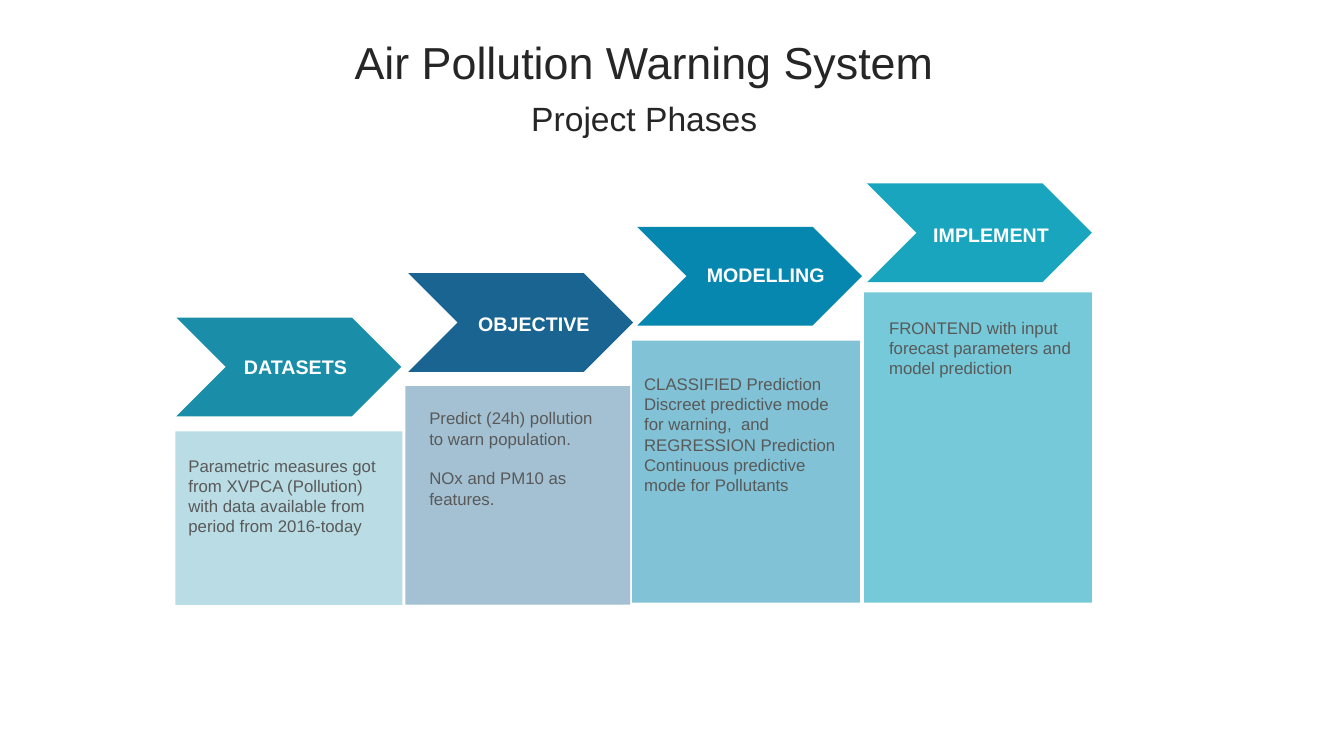
from lxml.etree import SubElement
from pptx import Presentation
from pptx.dml.color import RGBColor
from pptx.enum.shapes import MSO_SHAPE
from pptx.enum.text import MSO_ANCHOR, MSO_AUTO_SIZE, PP_ALIGN
from pptx.oxml.ns import qn
from pptx.util import Inches, Pt

COLORS = {
    "title": "262626", "body": "595959", "label": "FFFFFF",
    "datasets": "1A8EA9", "objective": "196491",
    "modelling": "0587AF", "implement": "19A5BE",
}
FONT = "Arial"
CHEVRON_W, CHEVRON_H, LABEL_H = 2.23, 0.98, 0.34

TITLE_BOX = (0.06, 0.4, 12.66, 0.98)
TITLE = [("Air Pollution Warning System", 32), ("Project Phases", 24)]

PHASES = [
    {"label": "DATASETS", "color": "datasets", "opacity": 30,
     "chevron": (1.75, 3.15), "panel": (1.74, 4.28, 2.25, 1.72),
     "label_at": (2.12, 3.47, 1.62), "text_at": (1.77, 4.47, 2.22, 0.91),
     "text": [["Parametric measures got from XVPCA (Pollution) with data "
               "available from period from 2016-today"]]},
    {"label": "OBJECTIVE", "color": "objective", "opacity": 40,
     "chevron": (4.05, 2.71), "panel": (4.02, 3.83, 2.23, 2.17),
     "label_at": (4.39, 3.05, 1.81), "text_at": (4.16, 4, 1.87, 1.11),
     "text": [["Predict (24h) pollution to warn population."],
              ["NOx and PM10 as features."]]},
    {"label": "MODELLING", "color": "modelling", "opacity": 50,
     "chevron": (6.32, 2.25), "panel": (6.27, 3.38, 2.26, 2.6),
     "label_at": (6.9, 2.56, 1.39), "text_at": (6.29, 3.66, 2.25, 1.31),
     "text": [["CLASSIFIED Prediction",
               "Discreet predictive mode for warning,  and REGRESSION "
               "Prediction Continuous predictive mode for Pollutants"]]},
    {"label": "IMPLEMENT", "color": "implement", "opacity": 60,
     "chevron": (8.6, 1.82), "panel": (8.57, 2.9, 2.26, 3.08),
     "label_at": (8.88, 2.16, 1.9), "text_at": (8.72, 3.1, 2.04, 0.71),
     "text": [["FRONTEND with input forecast parameters and model prediction"]]},
]


def add_run(p, text, size, color, bold=False):
    r = p.add_run()
    r.text = text
    r.font.name = FONT
    r.font.size = Pt(size)
    r.font.bold = bold
    r.font.color.rgb = RGBColor.from_string(COLORS[color])


def next_paragraph(tf, i):
    return tf.add_paragraph() if i else tf.paragraphs[0]


def add_block(s, kind, box, color, opacity=100):
    sp = s.shapes.add_shape(kind, *map(Inches, box))
    sp.shadow.inherit = False
    sp.line.fill.background()
    sp.fill.solid()
    sp.fill.fore_color.rgb = RGBColor.from_string(COLORS[color])
    if opacity < 100:
        srgb = sp.fill._xPr.find(".//" + qn("a:srgbClr"))
        SubElement(srgb, qn("a:alpha")).set("val", str(opacity * 1000))


def add_text(s, box, paragraphs, size, color, bold=False, align=PP_ALIGN.LEFT):
    tf = s.shapes.add_textbox(*map(Inches, box)).text_frame
    tf.word_wrap = True
    for i, lines in enumerate(paragraphs):
        p = next_paragraph(tf, i)
        p.alignment = align
        if i:
            p.space_before = Pt(14)
        for j, line in enumerate(lines):
            if j:
                p.add_line_break()
            add_run(p, line, size, color, bold)


def add_title(s):
    sp = s.shapes.title
    sp.left, sp.top, sp.width, sp.height = map(Inches, TITLE_BOX)
    tf = sp.text_frame
    tf.word_wrap = True
    tf.auto_size = MSO_AUTO_SIZE.NONE
    tf.vertical_anchor = MSO_ANCHOR.MIDDLE
    for i, (text, size) in enumerate(TITLE):
        p = next_paragraph(tf, i)
        p.alignment = PP_ALIGN.CENTER
        p.line_spacing = 0.9
        p.space_before = Pt(10)
        add_run(p, text, size, "title")


def add_phase(s, phase):
    color = phase["color"]
    add_block(s, MSO_SHAPE.RECTANGLE, phase["panel"], color, phase["opacity"])
    add_block(s, MSO_SHAPE.CHEVRON, (*phase["chevron"], CHEVRON_W, CHEVRON_H), color)
    add_text(s, (*phase["label_at"], LABEL_H), [[phase["label"]]], 14, "label",
             True, PP_ALIGN.CENTER)
    add_text(s, phase["text_at"], phase["text"], 12, "body")


def main():
    prs = Presentation()
    prs.slide_width, prs.slide_height = Inches(13.33), Inches(7.5)
    s = prs.slides.add_slide(prs.slide_layouts[5])
    add_title(s)
    for phase in PHASES:
        add_phase(s, phase)
    prs.save("out.pptx")


if __name__ == "__main__":
    main()
